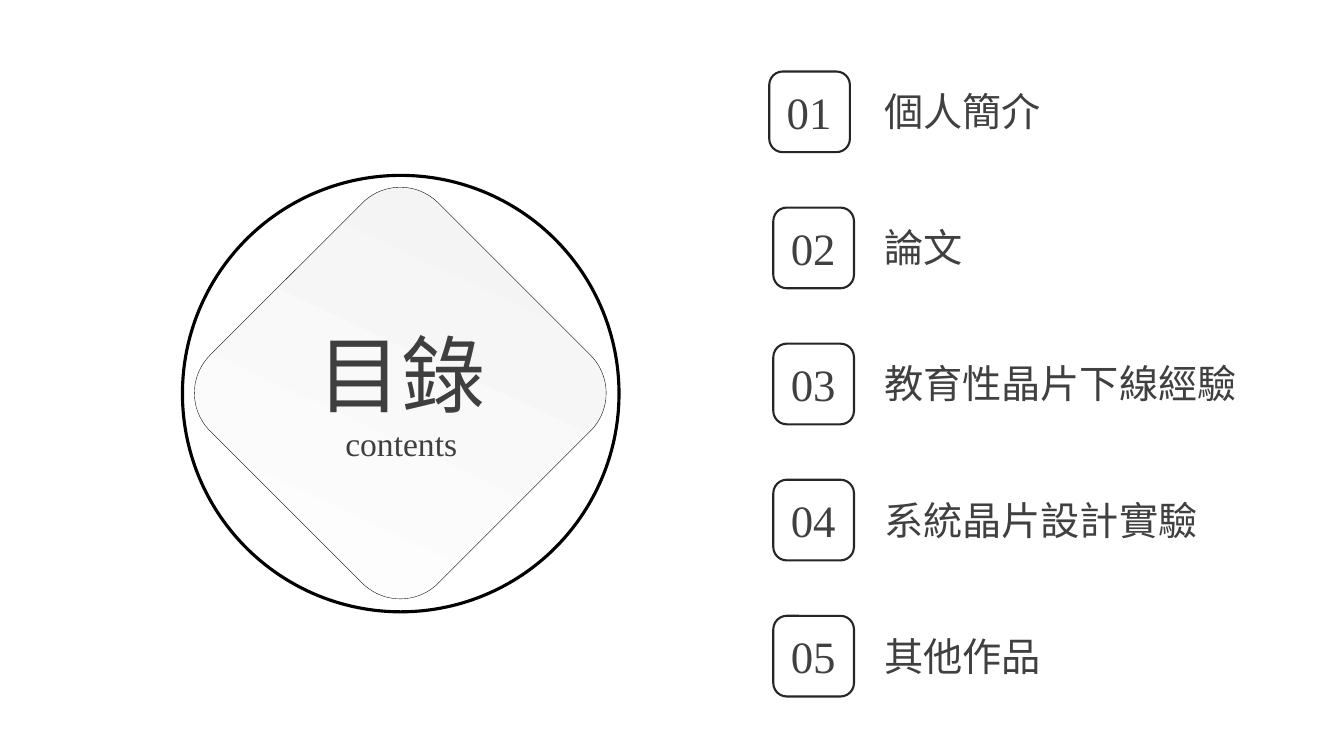
from dataclasses import dataclass

from pptx import Presentation
from pptx import util as u
from pptx.dml.color import RGBColor
from pptx.enum import shapes, text

PX = 9144


@dataclass(frozen=True)
class Theme:
    font: str = "Times New Roman"
    paper: str = "FFFFFF"
    shade: str = "F2F2F2"
    ring: str = "000000"
    frame: str = "262626"
    title: str = "3F3F3F"
    body: str = "404040"
    title_size: int = 60
    subtitle_size: int = 24
    number_size: int = 32
    label_size: int = 28


THEME = Theme()
TOPICS = ["個人簡介", "論文", "教育性晶片下線經驗", "系統晶片設計實驗", "其他作品"]
FIRST_TOP, ROW_PITCH = 71, 135
BADGE_SIZE = 80


def box(*lengths):
    return [length * PX for length in lengths]


def add_outline(parent, kind, bounds, color, width):
    s = parent.add_shape(kind, *box(*bounds))
    s.shadow.inherit = False
    s.fill.background()
    s.line.color.rgb = RGBColor.from_string(color)
    s.line.width = u.Pt(width)
    return s


def format_paragraph(p, size, color, align):
    p.alignment = align
    p.font.name = THEME.font
    p.font.size = u.Pt(size)
    p.font.bold = False
    p.font.color.rgb = RGBColor.from_string(color)


def add_text(parent, bounds, words, size, align, wrap):
    tf = parent.add_textbox(*box(*bounds)).text_frame
    tf.word_wrap = wrap
    tf.auto_size = text.MSO_AUTO_SIZE.SHAPE_TO_FIT_TEXT
    tf.text = words
    format_paragraph(tf.paragraphs[0], size, THEME.body, align)


def add_emblem(slide):
    diamond = add_outline(slide.shapes, shapes.MSO_SHAPE.ROUNDED_RECTANGLE,
                          (237, 230, 320, 320), THEME.ring, 0.25)
    diamond.rotation = 45
    diamond.fill.gradient()
    diamond.fill.gradient_angle = 110
    for stop, color in zip(diamond.fill.gradient_stops, (THEME.paper, THEME.shade)):
        stop.color.rgb = RGBColor.from_string(color)
    add_outline(slide.shapes, shapes.MSO_SHAPE.OVAL,
                (181, 174, 433, 433), THEME.ring, 2.25)


def place_title(slide):
    title = slide.shapes.title
    title.left, title.top, title.width, title.height = box(303, 315, 190, 151)
    tf = title.text_frame
    tf.word_wrap = False
    tf.auto_size = text.MSO_AUTO_SIZE.SHAPE_TO_FIT_TEXT
    tf.vertical_anchor = text.MSO_ANCHOR.TOP
    tf.text = "目錄\ncontents"
    for p, size in zip(tf.paragraphs, (THEME.title_size, THEME.subtitle_size)):
        format_paragraph(p, size, THEME.title, text.PP_ALIGN.CENTER)
    slide.shapes._spTree.append(title._element)


def add_badge(slide, left, top, number):
    group = slide.shapes.add_group_shape().shapes
    add_outline(group, shapes.MSO_SHAPE.ROUNDED_RECTANGLE,
                (left, top, BADGE_SIZE, BADGE_SIZE), THEME.frame, 1.5)
    add_text(group, (left + 7, top + 8, 65, 64), f"{number:02}",
             THEME.number_size, text.PP_ALIGN.CENTER, False)


def add_topic(slide, index, topic):
    top = FIRST_TOP + index * ROW_PITCH
    add_badge(slide, 763 if index == 0 else 767, top, index + 1)
    add_text(slide.shapes, (867, top + 11, 429, 57), topic,
             THEME.label_size, text.PP_ALIGN.LEFT, True)


def main():
    prs = Presentation()
    prs.slide_width, prs.slide_height = u.Inches(13.33), u.Inches(7.5)
    slide = prs.slides.add_slide(prs.slide_layouts[5])
    add_emblem(slide)
    place_title(slide)
    for index, topic in enumerate(TOPICS):
        add_topic(slide, index, topic)
    prs.save("out.pptx")


if __name__ == "__main__":
    main()
